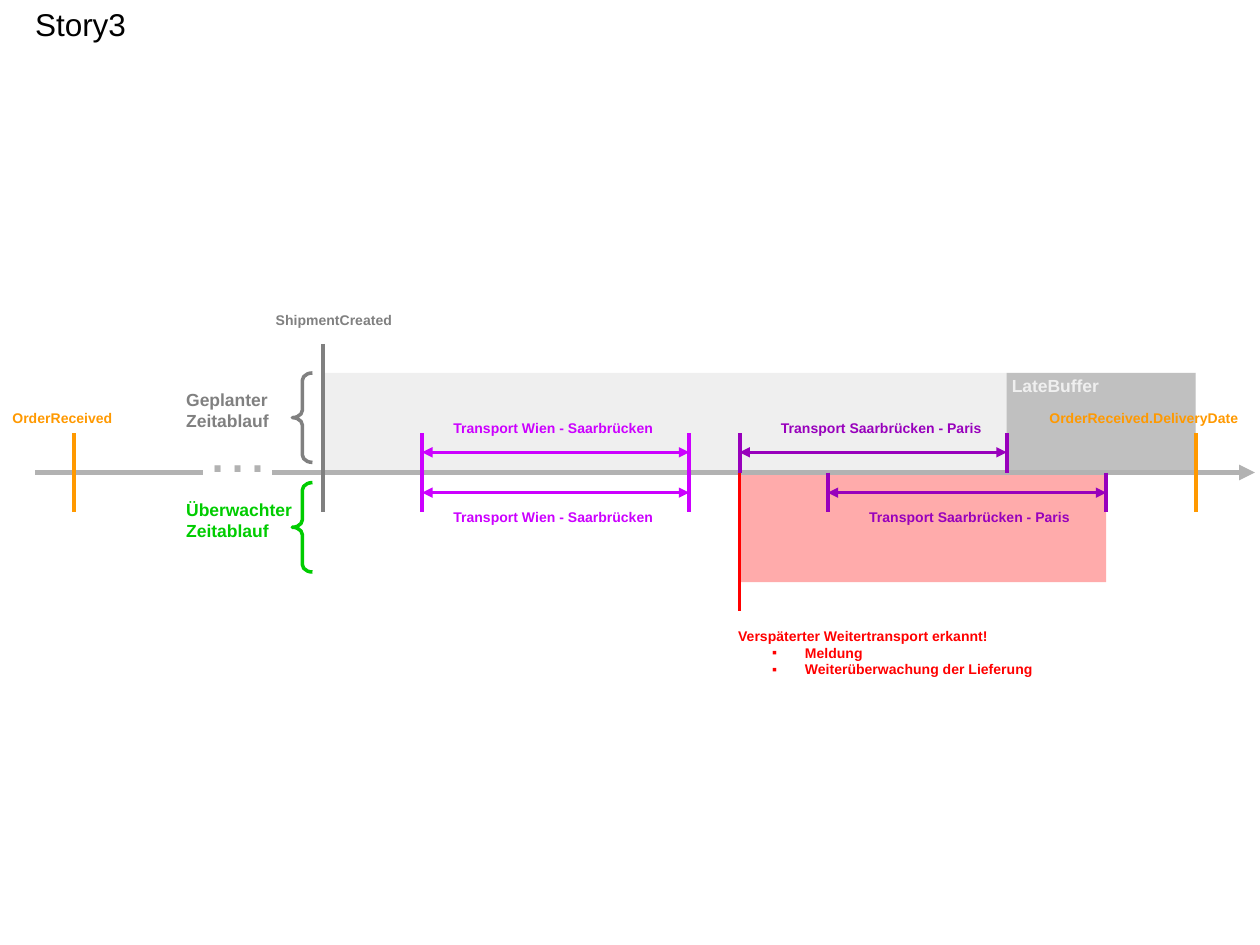
from dataclasses import dataclass

from lxml import etree
from pptx import Presentation
from pptx.dml.color import RGBColor
from pptx.enum.shapes import MSO_CONNECTOR, MSO_SHAPE
from pptx.enum.text import MSO_ANCHOR, MSO_AUTO_SIZE, PP_ALIGN
from pptx.oxml.ns import qn
from pptx.util import Inches, Pt

STRAIGHT = MSO_CONNECTOR.STRAIGHT
RECTANGLE = MSO_SHAPE.RECTANGLE
LEFT_BRACE = MSO_SHAPE.LEFT_BRACE
TOP = MSO_ANCHOR.TOP
LEFT = PP_ALIGN.LEFT
GROW = MSO_AUTO_SIZE.SHAPE_TO_FIT_TEXT


@dataclass(frozen=True)
class Theme:
    font: str = "Arial"
    black: str = "000000"
    white: str = "FFFFFF"
    gray: str = "808080"
    axis: str = "B2B2B2"
    order: str = "FF9900"
    vienna: str = "CC00FF"
    paris: str = "9800BC"
    alert: str = "FF0000"
    monitored: str = "00CC00"
    title_size: int = 18
    dots_size: int = 36
    heading_size: int = 10
    label_size: int = 8
    axis_width: float = 3
    tick_width: float = 2.25
    mark_width: float = 2
    span_width: float = 1.5


THEME = Theme()
AXIS_Y = 3.75
TICK = 0.31
SPAN_GAP = 0.16
BAND_TOP = 2.96
ORDERED, CREATED, DELIVERY = 0.59, 2.56, 9.49
VIENNA_START, VIENNA_END = 3.35, 5.47
PARIS_START, PARIS_END = 5.87, 7.99
LATE_START, LATE_END = 6.57, 8.78


def add_line(slide, start, end, color, width, head=False, tail=False):
    line = slide.shapes.add_connector(STRAIGHT, *map(Inches, start + end))
    line.line.color.rgb = RGBColor.from_string(color)
    line.line.width = Pt(width)
    outline = line.line._get_or_add_ln()
    for tag, wanted in (("a:headEnd", head), ("a:tailEnd", tail)):
        if wanted:
            etree.SubElement(outline, qn(tag), type="triangle")
    etree.SubElement(line._element.spPr, qn("a:effectLst"))


def add_tick(slide, x, color, top=AXIS_Y - TICK, bottom=AXIS_Y + TICK, width=THEME.tick_width):
    add_line(slide, (x, top), (x, bottom), color, width)


def add_bullet(paragraph, color):
    paragraph.level = 1
    properties = paragraph._p.get_or_add_pPr()
    properties.set("marL", str(Inches(0.53)))
    properties.set("indent", str(Inches(-0.26)))
    bullet_color = etree.SubElement(properties, qn("a:buClr"))
    etree.SubElement(bullet_color, qn("a:srgbClr"), val=color)
    etree.SubElement(properties, qn("a:buFont"), typeface=THEME.font)
    etree.SubElement(properties, qn("a:buChar"), char="▪")


def format_text(frame, text, size, color, bold, bulleted=False):
    frame.text = text
    for position, paragraph in enumerate(frame.paragraphs):
        if bulleted and position:
            add_bullet(paragraph, color)
        paragraph.alignment = LEFT
        paragraph.font.name = THEME.font
        paragraph.font.size = Pt(size)
        paragraph.font.bold = bold
        paragraph.font.color.rgb = RGBColor.from_string(color)


def add_label(slide, left, top, width, height, text, color,
              size=THEME.label_size, bold=True, bulleted=False):
    box = slide.shapes.add_textbox(*map(Inches, (left, top, width, height)))
    frame = box.text_frame
    frame.word_wrap = False
    frame.auto_size = GROW
    format_text(frame, text, size, color, bold, bulleted)


def add_band(slide, left, right, top, bottom, color, opacity):
    band = slide.shapes.add_shape(
        RECTANGLE, *map(Inches, (left, top, right - left, bottom - top)))
    band.shadow.inherit = False
    band.fill.solid()
    band.fill.fore_color.rgb = RGBColor.from_string(color)
    shade = band._element.spPr.find(qn("a:solidFill"))[0]
    etree.SubElement(shade, qn("a:alpha"), val=str(opacity * 1000))
    band.line.fill.background()
    return band


def add_brace(slide, top, color):
    brace = slide.shapes.add_shape(LEFT_BRACE, *map(Inches, (2.32, top, 0.16, 0.71)))
    brace.shadow.inherit = False
    brace.adjustments[0] = 0.37
    brace.fill.background()
    brace.line.color.rgb = RGBColor.from_string(color)
    brace.line.width = Pt(THEME.mark_width)


def add_transport(slide, start, end, route, label_offset, color, planned):
    direction = -1 if planned else 1
    span_y = AXIS_Y + direction * SPAN_GAP
    add_line(slide, (start, span_y), (end, span_y), color, THEME.span_width, True, True)
    for x in (start, end):
        add_tick(slide, x, color, *sorted((AXIS_Y, AXIS_Y + direction * TICK)))
    label_top = 3.28 if planned else 3.99
    add_label(slide, start + label_offset, label_top, 1.83, 0.24, f"Transport {route}", color)


def add_alert(slide):
    add_tick(slide, PARIS_START, THEME.alert, AXIS_Y, 4.85, THEME.mark_width)
    message = "\n".join(("Verspäterter Weitertransport erkannt!", "Meldung",
                         "Weiterüberwachung der Lieferung"))
    add_label(slide, 5.76, 4.93, 2.62, 0.5, message, THEME.alert, bulleted=True)


def add_late_buffer(slide):
    buffer = add_band(slide, PARIS_END, DELIVERY, BAND_TOP, AXIS_Y, THEME.gray, 42)
    frame = buffer.text_frame
    frame.margin_left, frame.margin_top = Inches(0.04), Inches(0.02)
    frame.vertical_anchor = TOP
    frame.word_wrap = False
    format_text(frame, "LateBuffer", THEME.heading_size, THEME.white, True)


def main():
    presentation = Presentation()
    presentation.slide_width, presentation.slide_height = Inches(10), Inches(7.5)
    slide = presentation.slides.add_slide(presentation.slide_layouts[6])

    add_late_buffer(slide)
    add_band(slide, PARIS_START, LATE_END, AXIS_Y, 4.62, THEME.alert, 33)
    add_band(slide, CREATED, DELIVERY, BAND_TOP, AXIS_Y, THEME.gray, 12)

    add_line(slide, (2.16, AXIS_Y), (9.96, AXIS_Y), THEME.axis, THEME.axis_width, tail=True)
    add_line(slide, (0.28, AXIS_Y), (1.61, AXIS_Y), THEME.axis, THEME.axis_width)
    add_label(slide, 1.54, 3.2, 0.7, 0.7, "…", THEME.axis, THEME.dots_size, False)

    add_label(slide, 0, 3.2, 1.05, 0.24, "OrderReceived", THEME.order)
    add_label(slide, 8.23, 3.2, 1.75, 0.24, "OrderReceived.DeliveryDate", THEME.order)
    for x in (ORDERED, DELIVERY):
        add_tick(slide, x, THEME.order)
    add_tick(slide, CREATED, THEME.gray, top=2.73)
    add_label(slide, 2.09, 2.42, 1.2, 0.24, "ShipmentCreated", THEME.gray)

    for planned, paris_start, paris_end in (
            (True, PARIS_START, PARIS_END), (False, LATE_START, LATE_END)):
        add_transport(slide, VIENNA_START, VIENNA_END, "Wien - Saarbrücken",
                      0.15, THEME.vienna, planned)
        add_transport(slide, paris_start, paris_end, "Saarbrücken - Paris",
                      0.23, THEME.paris, planned)
    add_alert(slide)

    for name, top, width, color in (("Geplanter", BAND_TOP, 0.9, THEME.gray),
                                    ("Überwachter", 3.83, 1.26, THEME.monitored)):
        add_brace(slide, top, color)
        add_label(slide, 1.38, top + 0.08, width, 0.44, f"{name}\nZeitablauf",
                  color, THEME.heading_size)
    add_label(slide, 0.18, -0.01, 0.95, 0.4, "Story3", THEME.black, THEME.title_size, False)

    presentation.save("out.pptx")


if __name__ == "__main__":
    main()
